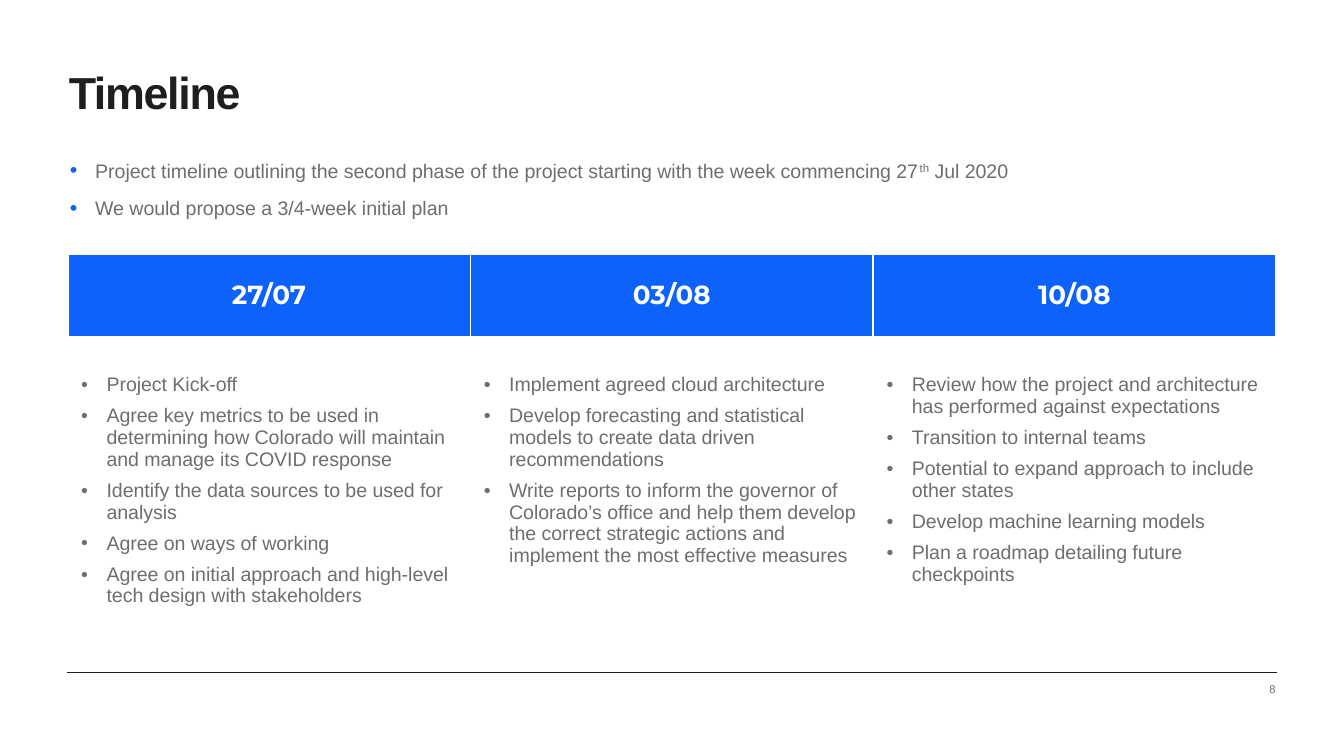
import dataclasses

import pptx
import pptx.dml.color
import pptx.enum.text
import pptx.oxml
import pptx.oxml.ns
import pptx.util
from pptx.util import Cm, Pt

ALIGN = pptx.enum.text.PP_ALIGN
ANCHOR = pptx.enum.text.MSO_ANCHOR
BLUE, WHITE, INK, GREY = "0C62FB", "FFFFFF", "1E1E1E", "6E6E6E"
LEFT, COL_W = 1.28, 7.61
WIDTH = 3 * COL_W
INDENT = Cm(0.48)


@dataclasses.dataclass
class Week:
    start: str
    tasks: list[str]


INTRO = [
    [
        ("Project timeline outlining the second phase of the project "
         "starting with the week commencing 27", False),
        ("th", True),
        (" Jul 2020", False),
    ],
    [("We would propose a 3/4-week initial plan", False)],
]

WEEKS = [
    Week("27/07", [
        "Project Kick-off",
        "Agree key metrics to be used in determining how Colorado will "
        "maintain and manage its COVID response",
        "Identify the data sources to be used for analysis",
        "Agree on ways of working",
        "Agree on initial approach and high-level tech design with stakeholders",
    ]),
    Week("03/08", [
        "Implement agreed cloud architecture",
        "Develop forecasting and statistical models to create data driven "
        "recommendations",
        "Write reports to inform the governor of Colorado’s office and help "
        "them develop the correct strategic actions and implement the most "
        "effective measures",
    ]),
    Week("10/08", [
        "Review how the project and architecture has performed against "
        "expectations",
        "Transition to internal teams",
        "Potential to expand approach to include other states",
        "Develop machine learning models",
        "Plan a roadmap detailing future checkpoints",
    ]),
]


def rgb(color: str) -> pptx.dml.color.RGBColor:
    return pptx.dml.color.RGBColor.from_string(color)


def add_xml(parent, tag: str, body: str = "", **attrs):
    attr_text = "".join(f' {k}="{v}"' for k, v in attrs.items())
    ns = pptx.oxml.ns.nsdecls("a")
    el = pptx.oxml.parse_xml(f"<a:{tag} {ns}{attr_text}>{body}</a:{tag}>")
    parent.append(el)
    return el


def add_run(p, text: str, size: float, color: str = GREY,
            font: str = "Arial", bold: bool = False):
    r = p.add_run()
    r.text = text
    r.font.size, r.font.name, r.font.bold = Pt(size), font, bold
    r.font.color.rgb = rgb(color)
    return r


def next_paragraph(tf, index: int):
    """Reuse the frame's own first paragraph, then append."""
    return tf.add_paragraph() if index else tf.paragraphs[0]


def set_bullet(p, before: float, color: str = GREY, percent: int = 100) -> None:
    p.alignment = ALIGN.LEFT
    p.space_before = Pt(before)
    pPr = p._p.get_or_add_pPr()
    pPr.set("marL", str(INDENT))
    pPr.set("indent", str(-INDENT))
    add_xml(pPr, "buClr", f'<a:srgbClr val="{color}"/>')
    add_xml(pPr, "buSzPct", val=percent * 1000)
    add_xml(pPr, "buFont", typeface="Arial")
    add_xml(pPr, "buChar", char="•")


def set_frame(sp, left: float, top: float, width: float, height: float,
              anchor, inset: float = 0):
    sp.left, sp.top, sp.width, sp.height = map(Cm, (left, top, width, height))
    tf = sp.text_frame
    tf.word_wrap = True
    tf.auto_size = pptx.enum.text.MSO_AUTO_SIZE.NONE
    tf.vertical_anchor = anchor
    tf.margin_left = tf.margin_right = 0
    tf.margin_top = tf.margin_bottom = Cm(inset)
    return tf


def style_cell(cell, fill: str, bottom: tuple[str, float]) -> None:
    """Borders go in before the fill, as the schema orders them."""
    tcPr = cell._tc.get_or_add_tcPr()
    white = (WHITE, 1)
    for tag, (color, width) in zip(("lnL", "lnR", "lnT", "lnB"),
                                   (white, white, white, bottom)):
        add_xml(tcPr, tag,
                f'<a:solidFill><a:srgbClr val="{color}"/></a:solidFill>',
                w=int(Pt(width)))
    cell.fill.solid()
    cell.fill.fore_color.rgb = rgb(fill)


def add_header(s) -> None:
    tf = set_frame(s.shapes.title, 1.3, 1.22, WIDTH, 1.02, ANCHOR.BOTTOM)
    p = tf.paragraphs[0]
    p.alignment = ALIGN.LEFT
    r = add_run(p, "Timeline", 24, INK, bold=True)
    r.font._element.set("spc", "-70")

    tf = set_frame(s.placeholders[1], 1.32, 2.87, WIDTH, 7.85, ANCHOR.TOP, 0.13)
    for i, runs in enumerate(INTRO):
        p = next_paragraph(tf, i)
        set_bullet(p, 7.5, BLUE, 110)
        for text, raised in runs:
            r = add_run(p, text, 10.5)
            if raised:
                r.font._element.set("baseline", "30000")


def add_plan(s) -> None:
    tbl = s.shapes.add_table(2, len(WEEKS), Cm(LEFT), Cm(4.81),
                             Cm(WIDTH), Cm(7.9)).table
    tbl.rows[0].height, tbl.rows[1].height = Cm(1.55), Cm(6.35)
    for col, week in enumerate(WEEKS):
        tbl.columns[col].width = Cm(COL_W)
        head, body = tbl.cell(0, col), tbl.cell(1, col)

        style_cell(head, BLUE, (WHITE, 1))
        head.vertical_anchor = ANCHOR.MIDDLE
        p = head.text_frame.paragraphs[0]
        p.alignment = ALIGN.CENTER
        add_run(p, week.start, 14, WHITE, "Montserrat", True)

        style_cell(body, WHITE, (INK, 0.5))
        body.margin_top = Cm(0.71)
        for i, task in enumerate(week.tasks):
            p = next_paragraph(body.text_frame, i)
            set_bullet(p, 5)
            add_run(p, task, 10.5)


def add_page_number(s, number: str) -> None:
    sp = s.shapes.add_textbox(0, 0, 0, 0)
    tf = set_frame(sp, 22.56, 12.67, 1.55, 0.48, ANCHOR.BOTTOM)
    p = tf.paragraphs[0]
    p.alignment = ALIGN.RIGHT
    add_run(p, number, 6)


def main() -> None:
    prs = pptx.Presentation()
    prs.slide_width, prs.slide_height = Cm(25.4), Cm(14.29)
    s = prs.slides.add_slide(prs.slide_layouts[1])
    add_header(s)
    add_plan(s)
    add_page_number(s, "8")
    prs.save("out.pptx")


if __name__ == "__main__":
    main()
